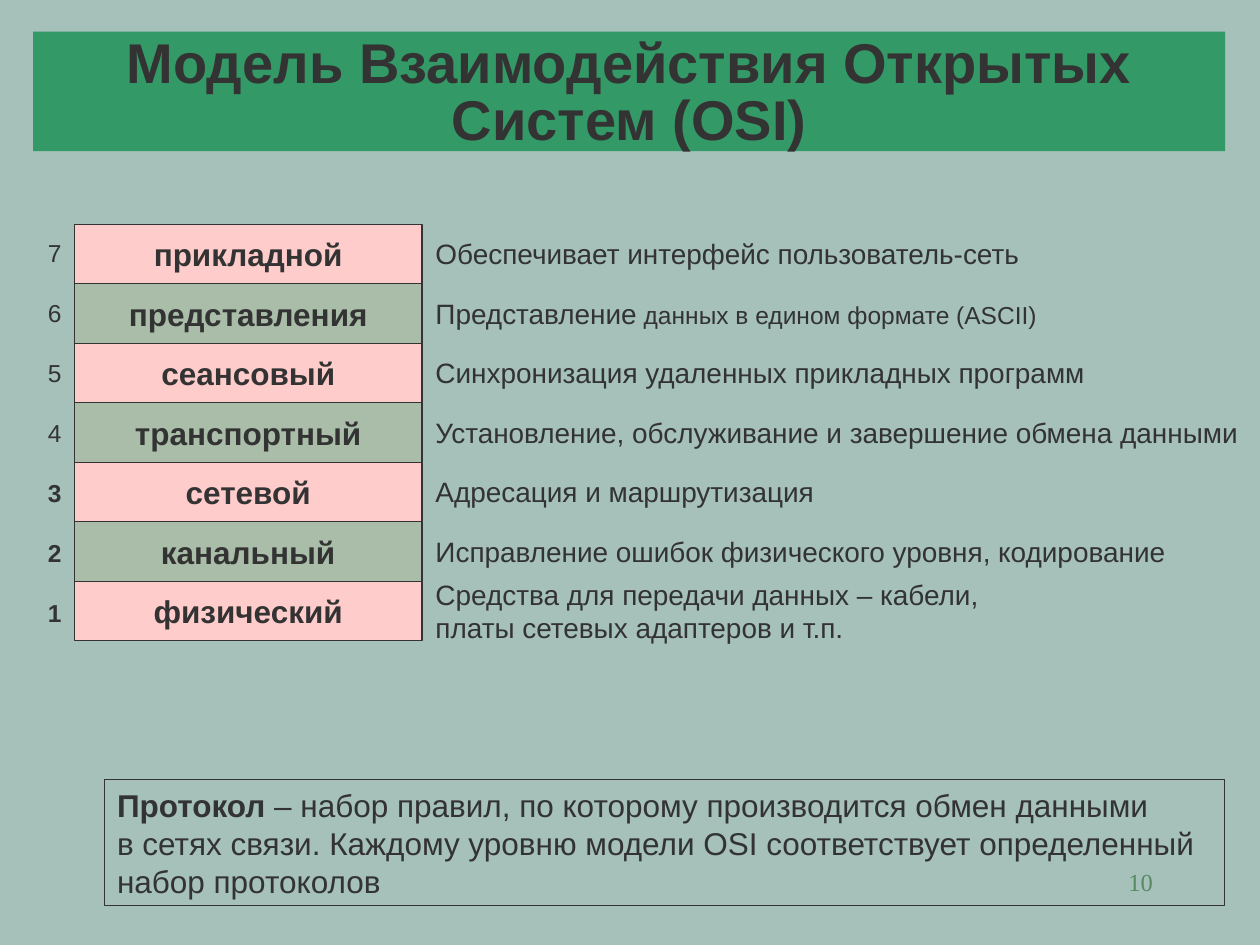
from dataclasses import dataclass

from pptx import Presentation
from pptx.dml.color import RGBColor
from pptx.enum.shapes import MSO_SHAPE
from pptx.enum.text import MSO_ANCHOR, MSO_AUTO_SIZE, PP_ALIGN
from pptx.util import Cm, Pt

RECTANGLE = MSO_SHAPE.RECTANGLE
TOP, MIDDLE = MSO_ANCHOR.TOP, MSO_ANCHOR.MIDDLE
LEFT, CENTER, RIGHT = PP_ALIGN.LEFT, PP_ALIGN.CENTER, PP_ALIGN.RIGHT
GROW = MSO_AUTO_SIZE.SHAPE_TO_FIT_TEXT


@dataclass(frozen=True)
class Theme:
    """Colours, fonts and type sizes of the slide."""
    background: str = "A5C1BA"
    banner: str = "339966"
    ink: str = "333333"
    page: str = "578963"
    layers: tuple = ("FFCCCC", "A9BDA9")
    font: str = "Arial"
    page_font: str = "Times New Roman"
    title_size: int = 32
    layer_size: int = 18
    text_size: int = 16
    small_size: int = 14


THEME = Theme()
STACK_LEFT, STACK_TOP, LAYER_WIDTH, LAYER_HEIGHT = 1.5, 4.52, 7.01, 1.2
LINE_HEIGHT, BOX_PADDING = 0.68, 0.26

LAYERS = [
    ("прикладной", 12.42, [["Обеспечивает интерфейс пользователь-сеть"]]),
    ("представления", 12.7, [["Представление", " данных в едином формате (ASCII)"]]),
    ("сеансовый", 13.61, [["Синхронизация удаленных прикладных программ"]]),
    ("транспортный", 16.76, [["Установление, обслуживание и завершение обмена данными"]]),
    ("сетевой", 8.15, [["Адресация и маршрутизация"]]),
    ("канальный", 15.27, [["Исправление ошибок физического уровня, кодирование"]]),
    ("физический", 11.66, [["Средства для передачи данных – кабели,"],
                           ["платы сетевых адаптеров и т.п."]]),
]
PROTOCOL_LINES = [
    ["Протокол", " – набор правил, по которому производится обмен данными"],
    ["в сетях связи. Каждому уровню модели OSI соответствует определенный"],
    ["набор протоколов"],
]


def add_run(paragraph, text, size, bold=False, color=THEME.ink, font=THEME.font):
    """Append one formatted run to a paragraph."""
    run = paragraph.add_run()
    run.text = text
    run.font.size = Pt(size)
    run.font.bold = bold
    run.font.name = font
    run.font.color.rgb = RGBColor.from_string(color)


def add_paragraphs(frame, count, align):
    """Return the given number of aligned paragraphs of a text frame."""
    paragraphs = [frame.paragraphs[0]]
    paragraphs += [frame.add_paragraph() for _ in range(count - 1)]
    for paragraph in paragraphs:
        paragraph.alignment = align
    return paragraphs


def add_text_box(slide, left, top, width, height, anchor=TOP, wrap=True):
    """Add a text box and return its text frame."""
    frame = slide.shapes.add_textbox(Cm(left), Cm(top), Cm(width), Cm(height)).text_frame
    frame.word_wrap = wrap
    frame.vertical_anchor = anchor
    return frame


def add_panel(slide, left, top, width, height, fill=None, outlined=True, anchor=TOP):
    """Add a rectangle and return its text frame."""
    shape = slide.shapes.add_shape(RECTANGLE, Cm(left), Cm(top), Cm(width), Cm(height))
    shape.shadow.inherit = False
    if fill:
        shape.fill.solid()
        shape.fill.fore_color.rgb = RGBColor.from_string(fill)
    else:
        shape.fill.background()
    if outlined:
        shape.line.color.rgb = RGBColor.from_string(THEME.ink)
        shape.line.width = Pt(0.75)
    else:
        shape.line.fill.background()
    shape.text_frame.word_wrap = True
    shape.text_frame.vertical_anchor = anchor
    return shape.text_frame


def add_page_number(slide):
    """Add the slide number."""
    frame = add_text_box(slide, 18.21, 17.35, 5.28, 1.27)
    paragraph = add_paragraphs(frame, 1, RIGHT)[0]
    add_run(paragraph, "10", THEME.small_size, color=THEME.page, font=THEME.page_font)


def add_layer(slide, index, name, width, lines):
    """Add one layer of the stack with its description."""
    top = STACK_TOP + index * LAYER_HEIGHT
    fill = THEME.layers[index % len(THEME.layers)]
    panel = add_panel(slide, STACK_LEFT, top, LAYER_WIDTH, LAYER_HEIGHT, fill, anchor=MIDDLE)
    add_run(add_paragraphs(panel, 1, CENTER)[0], name, THEME.layer_size, True)

    height = len(lines) * LINE_HEIGHT + BOX_PADDING
    text_top = top + (LAYER_HEIGHT - height) / 2
    frame = add_text_box(slide, STACK_LEFT + LAYER_WIDTH + 0.02, text_top, width, height, wrap=False)
    frame.auto_size = GROW
    for paragraph, runs in zip(add_paragraphs(frame, len(lines), LEFT), lines):
        for text, size in zip(runs, (THEME.text_size, THEME.small_size)):
            add_run(paragraph, text, size)


def add_layer_numbers(slide):
    """Add the column of layer numbers, the lowest three in bold."""
    count = len(LAYERS)
    frame = add_text_box(slide, 0.71, STACK_TOP, 0.79, count * LAYER_HEIGHT, MIDDLE, False)
    for index, paragraph in enumerate(add_paragraphs(frame, count, CENTER)):
        number = count - index
        if index:
            paragraph.space_before = Pt(17.5)
        add_run(paragraph, str(number), THEME.small_size, number <= 3)


def add_protocol_note(slide):
    """Add the outlined definition of a protocol."""
    frame = add_panel(slide, 2.11, 15.72, 22.58, 2.54)
    paragraphs = add_paragraphs(frame, len(PROTOCOL_LINES), LEFT)
    for paragraph, runs in zip(paragraphs, PROTOCOL_LINES):
        for text in runs:
            add_run(paragraph, text, THEME.layer_size, text == "Протокол")


def add_title(slide):
    """Add the title banner."""
    frame = add_panel(slide, 0.67, 0.64, 24.03, 2.41, THEME.banner, outlined=False)
    paragraph = add_paragraphs(frame, 1, CENTER)[0]
    paragraph.line_spacing = 0.85
    add_run(paragraph, "Модель Взаимодействия Открытых Систем (OSI)", THEME.title_size, True)


def main():
    """Build and save the presentation."""
    presentation = Presentation()
    presentation.slide_width, presentation.slide_height = Cm(25.4), Cm(19.05)
    slide = presentation.slides.add_slide(presentation.slide_layouts[6])
    slide.background.fill.solid()
    slide.background.fill.fore_color.rgb = RGBColor.from_string(THEME.background)
    add_page_number(slide)
    for index, layer in enumerate(LAYERS):
        add_layer(slide, index, *layer)
    add_layer_numbers(slide)
    add_protocol_note(slide)
    add_title(slide)
    presentation.save("out.pptx")


if __name__ == "__main__":
    main()
